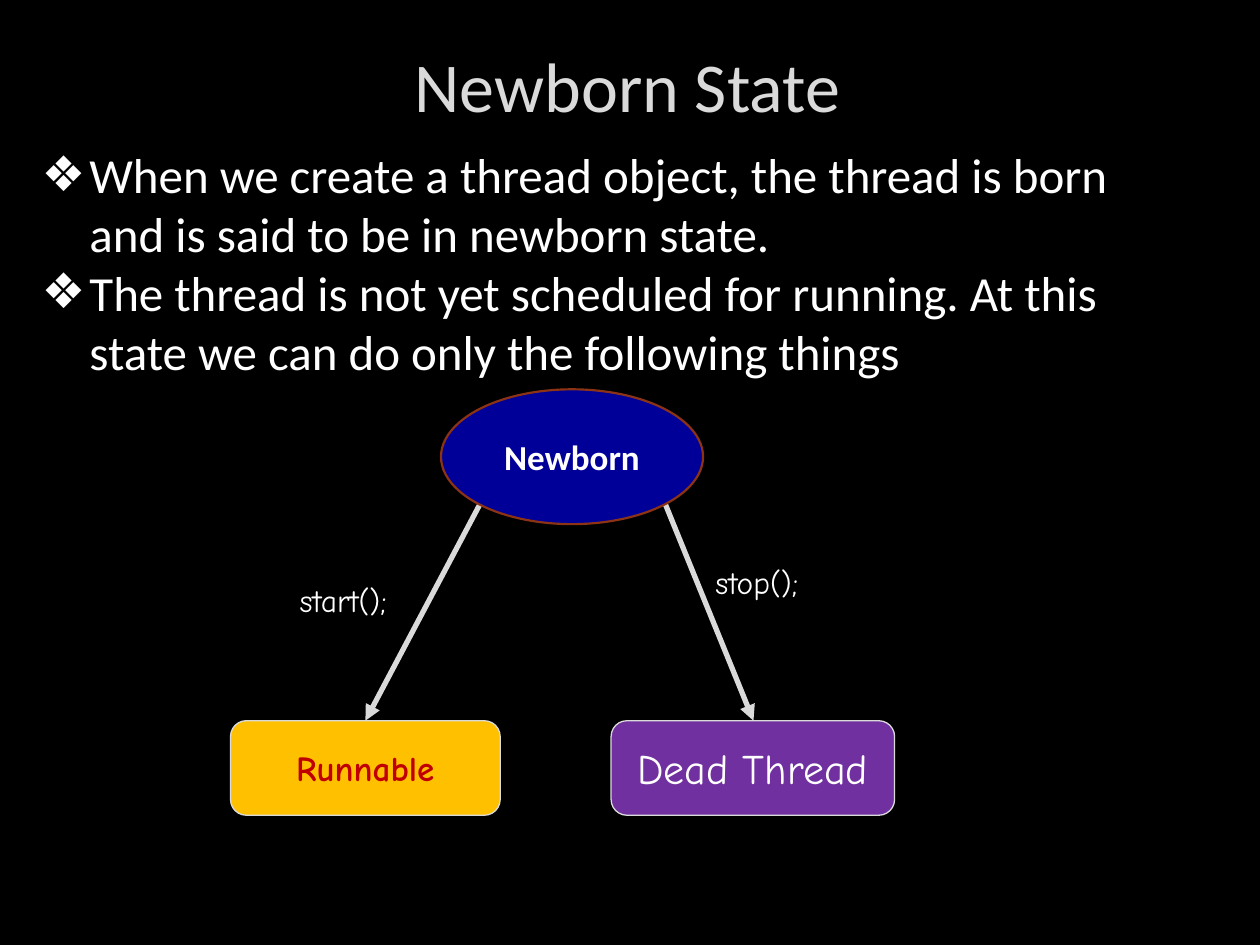
from lxml import etree
from pptx import Presentation
from pptx.dml.color import RGBColor
from pptx.enum import shapes, text
from pptx.oxml import ns
from pptx.util import Inches, Pt

BLACK = RGBColor(0x00, 0x00, 0x00)
WHITE = RGBColor(0xFF, 0xFF, 0xFF)
LIGHT_GRAY = RGBColor(0xDA, 0xDA, 0xDA)
NAVY = RGBColor(0x00, 0x00, 0x99)
BROWN = RGBColor(0x8B, 0x33, 0x14)
AMBER = RGBColor(0xFF, 0xC0, 0x00)
RED = RGBColor(0xC0, 0x00, 0x00)
PURPLE = RGBColor(0x70, 0x30, 0xA0)
BODY_FONT = "Calibri"
LABEL_FONT = "Comic Neue"


def write(shape, *lines, font=BODY_FONT, size=20, color=WHITE, bold=False,
          align=text.PP_ALIGN.LEFT, anchor=text.MSO_ANCHOR.TOP, wrap=True):
    """Fill a shape with one paragraph per line, all in the same format."""
    frame = shape.text_frame
    frame.text = "\n".join(lines)
    frame.word_wrap = wrap
    frame.vertical_anchor = anchor
    for paragraph in frame.paragraphs:
        paragraph.alignment = align
        paragraph.space_before = Pt(0)
        run_font = paragraph.runs[0].font
        run_font.name = font
        run_font.size = Pt(size)
        run_font.bold = bold
        run_font.color.rgb = color


def place(shape, left, top, width, height):
    shape.left, shape.top = Inches(left), Inches(top)
    shape.width, shape.height = Inches(width), Inches(height)


presentation = Presentation()
presentation.slide_width = Inches(10)
presentation.slide_height = Inches(7.5)
slide = presentation.slides.add_slide(presentation.slide_layouts[1])
slide.background.fill.solid()
slide.background.fill.fore_color.rgb = BLACK

# Title
title = slide.shapes.title
place(title, 1.02, 0.21, 7.92, 0.92)
write(title, "Newborn State", size=40, color=LIGHT_GRAY,
      align=text.PP_ALIGN.CENTER, anchor=text.MSO_ANCHOR.MIDDLE)

# Bulleted list
body = slide.placeholders[1]
place(body, 0.23, 1.1, 9.33, 1.99)
write(body,
      "When we create a thread object, the thread is born and is said to be in newborn state.",
      "The thread is not yet scheduled for running. At this state we can do only the following things",
      size=28)
for paragraph in body.text_frame.paragraphs:
    properties = paragraph._p.get_or_add_pPr()
    properties.set("marL", str(Inches(0.38)))
    properties.set("indent", str(Inches(-0.38)))
    etree.SubElement(properties, ns.qn("a:buChar")).set("char", "❖")

# Arrows from the newborn state to the next states
for start_x, end_x in [(3.81, 2.9), (5.28, 5.98)]:
    arrow = slide.shapes.add_connector(
        shapes.MSO_CONNECTOR.STRAIGHT,
        Inches(start_x), Inches(4), Inches(end_x), Inches(5.72))
    arrow.line.color.rgb = LIGHT_GRAY
    arrow.line.width = Pt(3)
    etree.SubElement(arrow.line._get_or_add_ln(), ns.qn("a:tailEnd")).set("type", "triangle")
    etree.SubElement(arrow._element.spPr, ns.qn("a:effectLst"))

# States
ELLIPSE = shapes.MSO_SHAPE.OVAL
ROUNDED = shapes.MSO_SHAPE.FLOWCHART_ALTERNATE_PROCESS
states = [
    ("Newborn", ELLIPSE, (3.5, 3.09, 2.08, 1.07), NAVY, BROWN, 1.25,
     dict(bold=True)),
    ("Runnable", ROUNDED, (1.83, 5.72, 2.14, 0.75), AMBER, LIGHT_GRAY, 0.75,
     dict(font=LABEL_FONT, color=RED, bold=True, wrap=False)),
    ("Dead Thread", ROUNDED, (4.85, 5.72, 2.25, 0.75), PURPLE, LIGHT_GRAY, 0.75,
     dict(font=LABEL_FONT, size=24, wrap=False)),
]
for name, kind, box, fill, outline, line_width, text_format in states:
    state = slide.shapes.add_shape(kind, *map(Inches, box))
    state.shadow.inherit = False
    state.fill.solid()
    state.fill.fore_color.rgb = fill
    state.line.color.rgb = outline
    state.line.width = Pt(line_width)
    write(state, name, align=text.PP_ALIGN.CENTER,
          anchor=text.MSO_ANCHOR.MIDDLE, **text_format)

# Method labels beside the arrows
for method, box in [("start();", (2.28, 4.56, 1.07, 0.4)),
                    ("stop();", (5.58, 4.42, 0.97, 0.4))]:
    label = slide.shapes.add_textbox(*map(Inches, box))
    write(label, method, font=LABEL_FONT, size=18, wrap=False)
    label.text_frame.auto_size = text.MSO_AUTO_SIZE.SHAPE_TO_FIT_TEXT

presentation.save("out.pptx")
